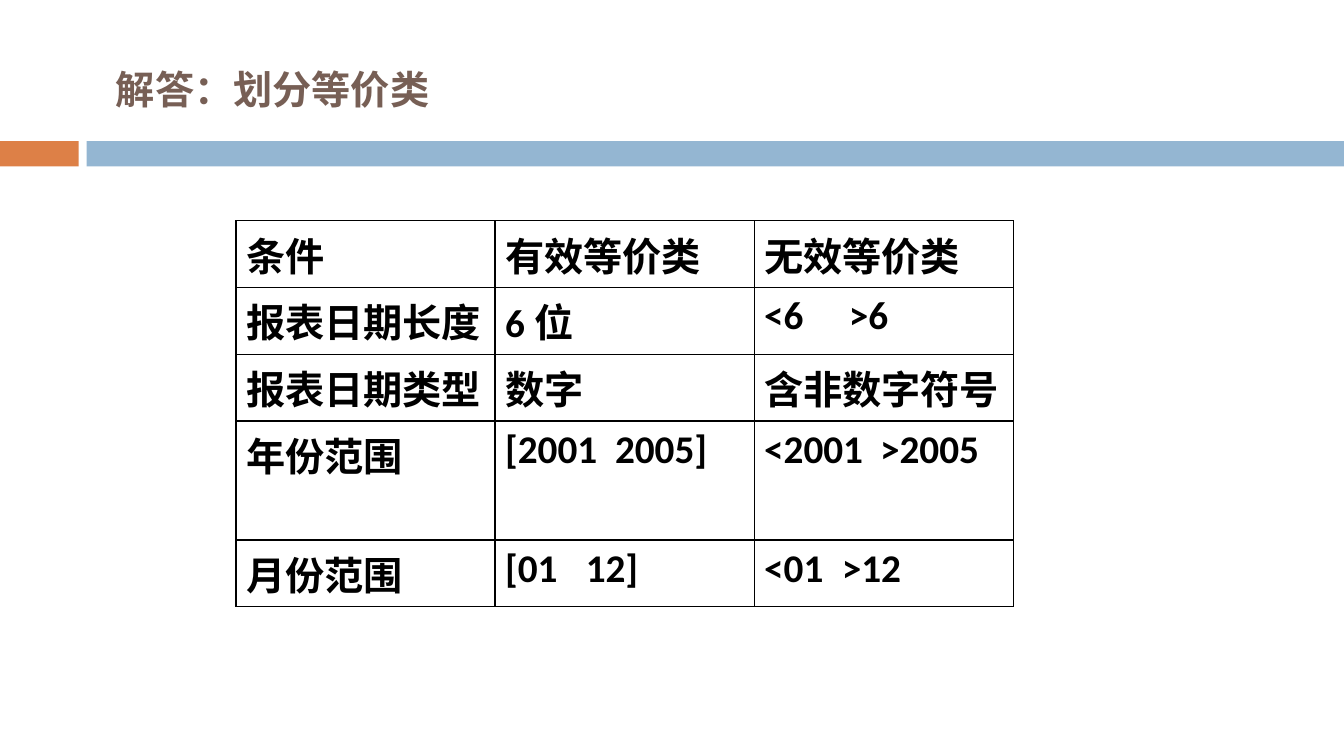
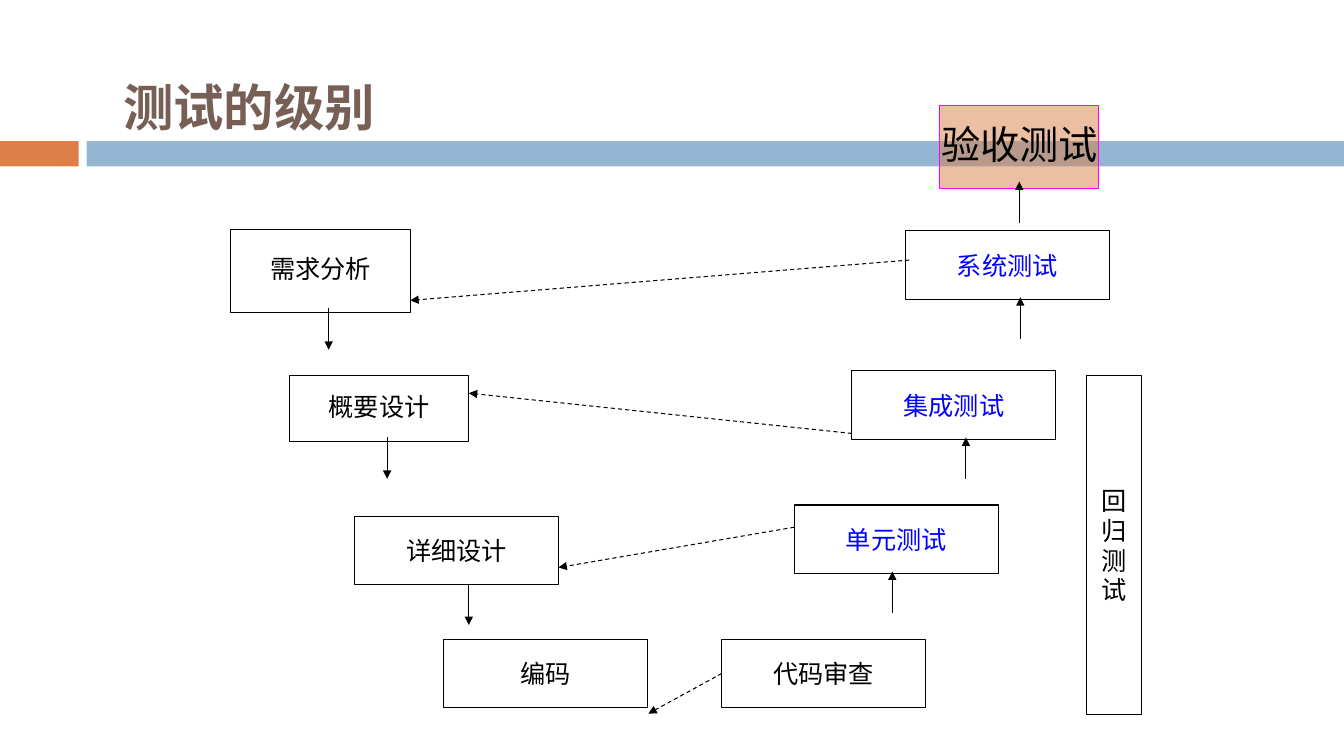
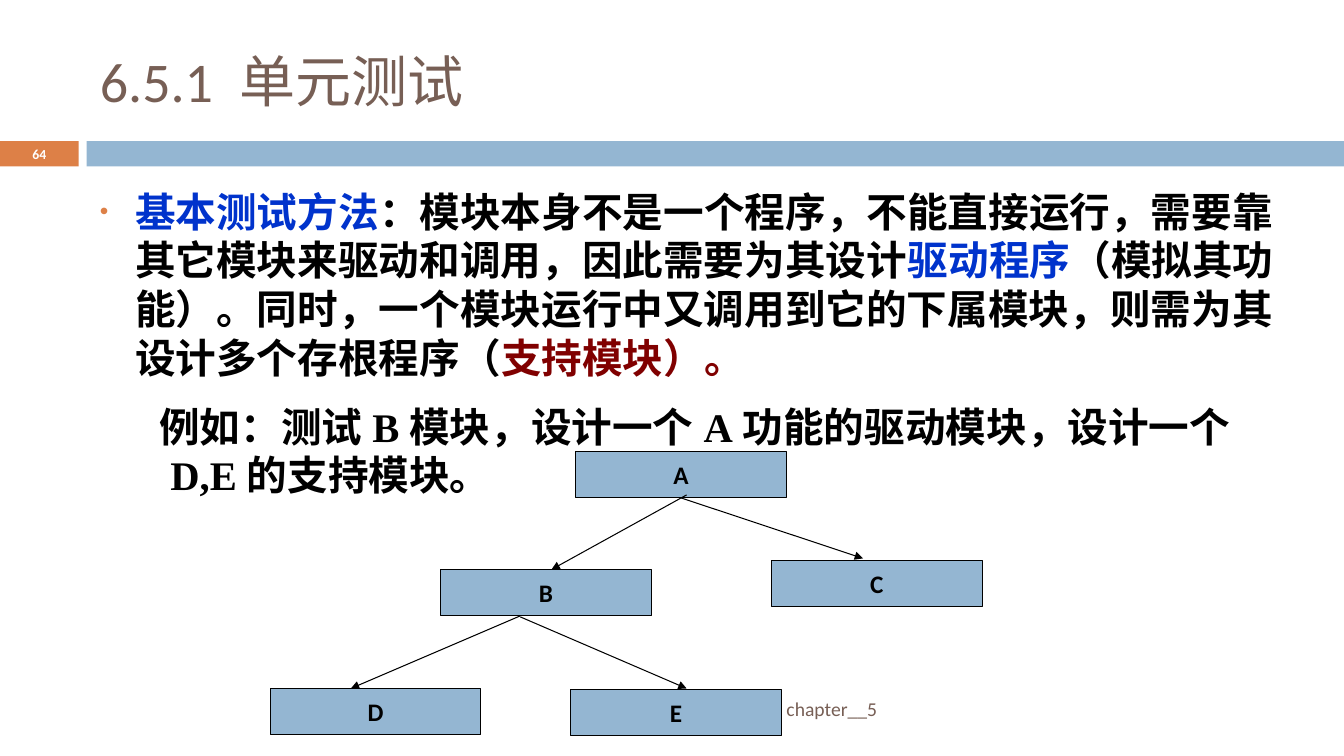
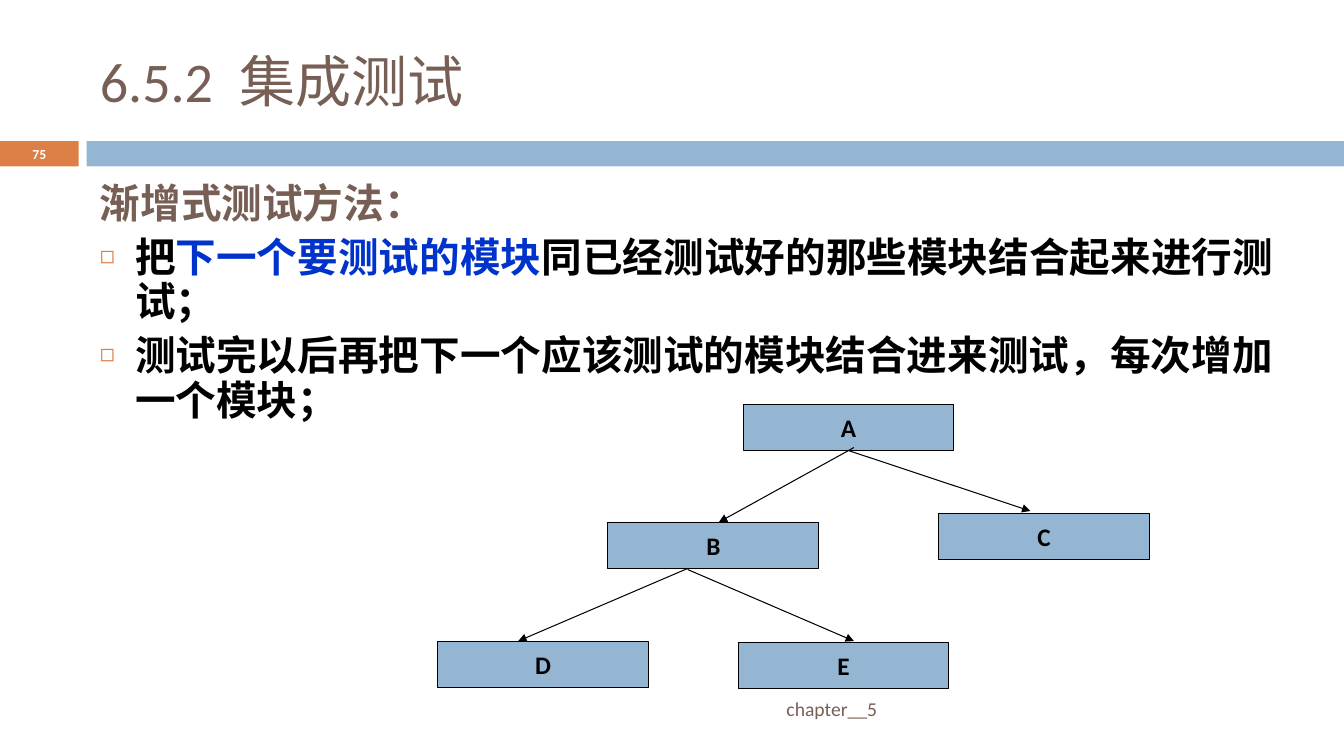
from dataclasses import dataclass

from lxml.etree import SubElement
from pptx import Presentation
from pptx.dml.color import RGBColor
from pptx.enum.dml import MSO_LINE_DASH_STYLE as Dash
from pptx.enum.shapes import MSO_CONNECTOR, MSO_SHAPE
from pptx.enum.text import MSO_ANCHOR as Anchor, MSO_AUTO_SIZE, PP_ALIGN as Align
from pptx.oxml import parse_xml
from pptx.oxml.ns import nsdecls, qn
from pptx.util import Inches, Pt


@dataclass(frozen=True)
class Theme:
    orange: str = "DD8047"
    blue: str = "94B6D2"
    brown: str = "775F55"
    black: str = "000000"
    white: str = "FFFFFF"
    magenta: str = "FF00FF"
    link_blue: str = "0000FF"
    key_blue: str = "0033CC"
    dark_red: str = "800000"
    latin: str = "Calibri"
    serif: str = "Times New Roman"
    sans: str = "Arial"
    chinese: str = "Noto Sans CJK SC"
    title: float = 40
    level_title: float = 36
    body: float = 29
    table: float = 28
    label: float = 18
    footer: float = 14
    number: float = 9.8
    hairline: float = 0.75


THEME = Theme()
TITLE_ONLY, TITLE_AND_BODY = 5, 1

# Content: equivalence classes; a cell with a tab carries its tab stop
CLASSES_TITLE = "解答：划分等价类"
CLASS_ROWS = [
    ["条件", "有效等价类", "无效等价类"],
    ["报表日期长度", "6位", ("<6\t>6", 0.84)],
    ["报表日期类型", "数字", "含非数字符号"],
    ["年份范围", ("[2001\t2005]", 1.09), ("<2001\t>2005", 1.15)],
    ["月份范围", ("[01\t12]", 0.8), ("<01\t>12", 0.77)],
]
ROW_HEIGHTS = [0.57, 0.57, 0.57, 1.18, 0.57]
COLUMN_WIDTH = 2.57

# Content: test levels as (text, left, top, width, height, bottom inset, colour)
LEVELS_TITLE = "测试的级别"
LEVELS = [
    ("需求分析", 2.29, 2.28, 1.78, 0.82, 0.05, THEME.black),
    ("概要设计", 2.87, 3.73, 1.78, 0.65, 0.05, THEME.black),
    ("详细设计", 3.52, 5.12, 2.02, 0.68, 0, THEME.black),
    ("编码", 4.4, 6.34, 2.02, 0.68, 0, THEME.black),
    ("系统测试", 8.98, 2.29, 2.02, 0.68, 0, THEME.link_blue),
    ("集成测试", 8.45, 3.68, 2.02, 0.68, 0, THEME.link_blue),
    ("单元测试", 7.88, 5.01, 2.02, 0.68, 0, THEME.link_blue),
    ("代码审查", 7.16, 6.34, 2.02, 0.68, 0, THEME.black),
]
REVIEW = "代码审查"
REGRESSION = "回归测试"
ACCEPTANCE = "验收测试"
ARROW_LENGTH = 0.41
STEPS_DOWN = [(3.26, 3.06), (3.84, 4.34), (4.65, 5.79)]
STEPS_UP = [(8.85, 6.08), (9.58, 4.75), (10.12, 3.36), (10.11, 2.21)]
CHECKS = [  # test level back to the design stage it verifies
    ((9.02, 2.58), (4.07, 2.98)),
    ((8.45, 4.3), (4.65, 3.9)),
    ((7.88, 5.23), (5.54, 5.63)),
]
REVIEW_CHECK = ((7.16, 6.68), (6.43, 7.08))

# Content: module tree, all places relative to the corner of module A
MODULE_SIZE = (2.09, 0.46)
MODULES = {"A": (0, 0), "B": (-1.34, 1.17), "C": (1.94, 1.08),
           "D": (-3.03, 2.35), "E": (-0.05, 2.36)}
CALLS = [
    ((1.1, 0.43), (-0.24, 1.17), None),
    ((1.05, 0.46), (2.85, 1.06), "A"),
    ((-0.55, 1.63), (-2.23, 2.35), None),
    ((-0.55, 1.64), (1.1, 2.35), None),
]

# Content: body slides; a paragraph is (spans, left margin, indent, bullet)
FOOTER = "chapter__5"
BODY_PAGES = [
    {
        "title": "6.5.1 单元测试", "number": "64", "tree": (5.71, 4.48),
        "height": 3.46, "top_inset": 0.1, "line": 34.8, "before": 14.5,
        "paragraphs": [
            ([("基本测试方法", THEME.key_blue),
              ("：模块本身不是一个程序，不能直接运行，需要靠其它模块来驱动和调用，"
               "因此需要为其设计", THEME.black),
              ("驱动程序", THEME.key_blue),
              ("（模拟其功能）。同时，一个模块运行中又调用到它的下属模块，"
               "则需为其设计多个存根程序（", THEME.black),
              ("支持模块）。", THEME.dark_red)], 0.35, -0.35, "•"),
            ([("例如：测试B模块，设计一个A功能的驱动模块，设计一个D,E的支持模块。",
               THEME.black)], 0.7, -0.11, None),
        ],
    },
    {
        "title": "6.5.2 集成测试", "number": "75", "tree": (7.37, 4.01),
        "height": 4.92, "top_inset": 0.05, "line": 32, "before": 6.5,
        "paragraphs": [
            ([("渐增式测试方法：", THEME.brown)], 0.35, -0.35, None),
            ([("把", THEME.black), ("下一个要测试的模块", THEME.key_blue),
              ("同已经测试好的那些模块结合起来进行测试；", THEME.black)],
             0.35, -0.35, "◻"),
            ([("测试完以后再把下一个应该测试的模块结合进来测试，每次增加一个模块；",
               THEME.black)], 0.35, -0.35, "◻"),
        ],
    },
]


# Text
def write(frame, paragraphs, *, size, font=THEME.latin, colour=THEME.black,
          bold=False, align=Align.LEFT, anchor=Anchor.MIDDLE, wrap=True,
          insets=(0.1, 0.05, 0.1, 0.05), line=None, before=0):
    """Fill a frame with paragraphs, each a string or a list of (text, colour)."""
    frame.word_wrap = wrap
    frame.auto_size = MSO_AUTO_SIZE.NONE
    frame.vertical_anchor = anchor
    (frame.margin_left, frame.margin_top,
     frame.margin_right, frame.margin_bottom) = map(Inches, insets)
    for index, content in enumerate(paragraphs):
        para = frame.add_paragraph() if index else frame.paragraphs[0]
        para.alignment = align
        para.space_before = Pt(before)
        if line:
            para.line_spacing = line
        spans = [(content, colour)] if isinstance(content, str) else content
        for text, span_colour in spans:
            span = para.add_run()
            span.text = text
            span.font.size = Pt(size)
            span.font.bold = bold
            span.font.color.rgb = RGBColor.from_string(span_colour)
            span.font.name = font
            east_asian = SubElement(span.font._element, qn("a:ea"))
            east_asian.set("typeface", THEME.chinese)


def set_bullet(para, char, margin, indent):
    props = para._p.get_or_add_pPr()
    props.set("marL", str(Inches(margin)))
    props.set("indent", str(Inches(indent)))
    if not char:
        SubElement(props, qn("a:buNone"))
        return
    colour = SubElement(props, qn("a:buClr"))
    SubElement(colour, qn("a:srgbClr")).set("val", THEME.orange)
    SubElement(props, qn("a:buSzPct")).set("val", "60000")
    SubElement(props, qn("a:buChar")).set("char", char)


def set_tab(para, position):
    stops = SubElement(para._p.get_or_add_pPr(), qn("a:tabLst"))
    stop = SubElement(stops, qn("a:tab"))
    stop.set("pos", str(Inches(position)))
    stop.set("algn", "l")


# Shapes
def place(shape, left, top, width, height):
    shape.left, shape.top = Inches(left), Inches(top)
    shape.width, shape.height = Inches(width), Inches(height)


def add_box(page, left, top, width, height, fill=None, line=THEME.black):
    box = page.shapes.add_shape(MSO_SHAPE.RECTANGLE, *map(
        Inches, (left, top, width, height)))
    box.shadow.inherit = False
    if fill:
        box.fill.solid()
        box.fill.fore_color.rgb = RGBColor.from_string(fill)
    else:
        box.fill.background()
    if line:
        box.line.color.rgb = RGBColor.from_string(line)
        box.line.width = Pt(THEME.hairline)
    else:
        box.line.fill.background()
    return box


def add_arrow(page, start, end, dashed=False, source=None, site=0):
    arrow = page.shapes.add_connector(
        MSO_CONNECTOR.STRAIGHT, *map(Inches, (*start, *end)))
    arrow.line.color.rgb = RGBColor.from_string(THEME.black)
    arrow.line.width = Pt(THEME.hairline)
    if dashed:
        arrow.line.dash_style = Dash.DASH
    SubElement(arrow.line._get_or_add_ln(), qn("a:tailEnd")).set("type", "triangle")
    SubElement(arrow._element.spPr, qn("a:effectLst"))
    if source is not None:
        arrow.begin_connect(source, site)


def add_label(page, text, area, **style):
    box = page.shapes.add_textbox(*map(Inches, area))
    write(box.text_frame, [text], **style)


# Shared parts
def add_master_bands(deck, page):
    """Draw the two bands and move them to the back of the slide master."""
    tree = deck.slide_master.shapes.element
    for index, (left, width, colour) in enumerate(
            [(0, 0.78, THEME.orange), (0.86, 12.47, THEME.blue)]):
        band = add_box(page, left, 1.4, width, 0.25, fill=colour, line=None)
        band.element.nvSpPr.cNvPr.set("id", str(100 + index))
        tree.insert(2 + index, band.element)


def add_page(deck, layout, title, area, **style):
    page = deck.slides.add_slide(deck.slide_layouts[layout])
    place(page.shapes.title, *area)
    write(page.shapes.title.text_frame, [title],
          **{"size": THEME.title, "colour": THEME.brown, **style})
    return page


def add_module_tree(page, left, top):
    boxes = {}
    for name, (dx, dy) in MODULES.items():
        boxes[name] = add_box(page, left + dx, top + dy, *MODULE_SIZE, fill=THEME.blue)
        write(boxes[name].text_frame, [name], size=THEME.label, bold=True,
              align=Align.CENTER, wrap=False)
    for start, end, source in CALLS:
        add_arrow(page, (left + start[0], top + start[1]),
                  (left + end[0], top + end[1]), source=boxes.get(source), site=2)


def format_cell(cell, content):
    text, tab = (content, None) if isinstance(content, str) else content
    write(cell.text_frame, [text], size=THEME.table, bold=True)
    cell.vertical_anchor = Anchor.TOP
    if tab:
        set_tab(cell.text_frame.paragraphs[0], tab)
    cell.fill.background()
    props = cell._tc.get_or_add_tcPr()
    for index, side in enumerate("LRTB"):
        props.insert(index, parse_xml(
            f'<a:ln{side} {nsdecls("a")} w="{Pt(1)}"><a:solidFill>'
            f'<a:srgbClr val="{THEME.black}"/></a:solidFill></a:ln{side}>'))


# Slides
def build_classes(deck):
    page = add_page(deck, TITLE_ONLY, CLASSES_TITLE, (1.05, 0.37, 9, 1.02),
                    size=THEME.table, bold=True)
    columns = len(CLASS_ROWS[0])
    table = page.shapes.add_table(
        len(CLASS_ROWS), columns, Inches(2.34), Inches(2.19),
        Inches(COLUMN_WIDTH * columns), Inches(sum(ROW_HEIGHTS))).table
    table.first_row = table.horz_banding = False
    for column in table.columns:
        column.width = Inches(COLUMN_WIDTH)
    for row, height, contents in zip(table.rows, ROW_HEIGHTS, CLASS_ROWS):
        row.height = Inches(height)
        for cell, content in zip(row.cells, contents):
            format_cell(cell, content)
    return page


def build_levels(deck):
    page = add_page(deck, TITLE_ONLY, LEVELS_TITLE, (1.12, 0.71, 9, 1.5),
                    size=THEME.level_title, bold=True, anchor=Anchor.TOP)
    label = {"size": THEME.label, "align": Align.CENTER, "wrap": False}
    boxes = {}
    for text, left, top, width, height, bottom, colour in LEVELS:
        boxes[text] = add_box(page, left, top, width, height)
        write(boxes[text].text_frame, [text], font=THEME.chinese, colour=colour,
              insets=(0, 0, 0, bottom), **label)

    regression = add_box(page, 10.78, 3.73, 0.54, 3.36)
    write(regression.text_frame, list(REGRESSION), font=THEME.sans,
          line=Pt(21.3), **label)

    acceptance = add_box(page, 9.32, 1.05, 1.58, 0.82,
                         fill=THEME.orange, line=THEME.magenta)
    fill_colour = acceptance._element.spPr.find(qn("a:solidFill"))[0]
    SubElement(fill_colour, qn("a:alpha")).set("val", "50000")
    write(acceptance.text_frame, [ACCEPTANCE], font=THEME.sans, line=0.9,
          **{**label, "size": THEME.table})

    for steps, length in ((STEPS_DOWN, ARROW_LENGTH), (STEPS_UP, -ARROW_LENGTH)):
        for x, y in steps:
            add_arrow(page, (x, y), (x, y + length))
    for start, end in CHECKS:
        add_arrow(page, start, end, dashed=True)
    add_arrow(page, *REVIEW_CHECK, dashed=True, source=boxes[REVIEW], site=1)


def build_body_page(deck, content):
    page = add_page(deck, TITLE_AND_BODY, content["title"], (0.89, 0.25, 11.89, 1.08))
    body = page.placeholders[1]
    place(body, 0.89, 1.75, 11.89, content["height"])
    write(body.text_frame, [item[0] for item in content["paragraphs"]],
          size=THEME.body, font=THEME.serif, bold=True, anchor=Anchor.TOP,
          insets=(0.1, content["top_inset"], 0.1, 0.05),
          line=Pt(content["line"]), before=content["before"])
    for para, (_, margin, indent, bullet) in zip(
            body.text_frame.paragraphs, content["paragraphs"]):
        set_bullet(para, bullet, margin, indent)
    add_label(page, FOOTER, (0.89, 6.83, 7.91, 0.4), size=THEME.footer,
              colour=THEME.brown, align=Align.RIGHT)
    add_label(page, content["number"], (0, 1.39, 0.78, 0.27), size=THEME.number,
              colour=THEME.white, bold=True, align=Align.CENTER)
    add_module_tree(page, *content["tree"])


def main():
    deck = Presentation()
    deck.slide_width, deck.slide_height = Inches(13.33), Inches(7.5)
    add_master_bands(deck, build_classes(deck))
    build_levels(deck)
    for content in BODY_PAGES:
        build_body_page(deck, content)
    deck.save("out.pptx")


if __name__ == "__main__":
    main()
